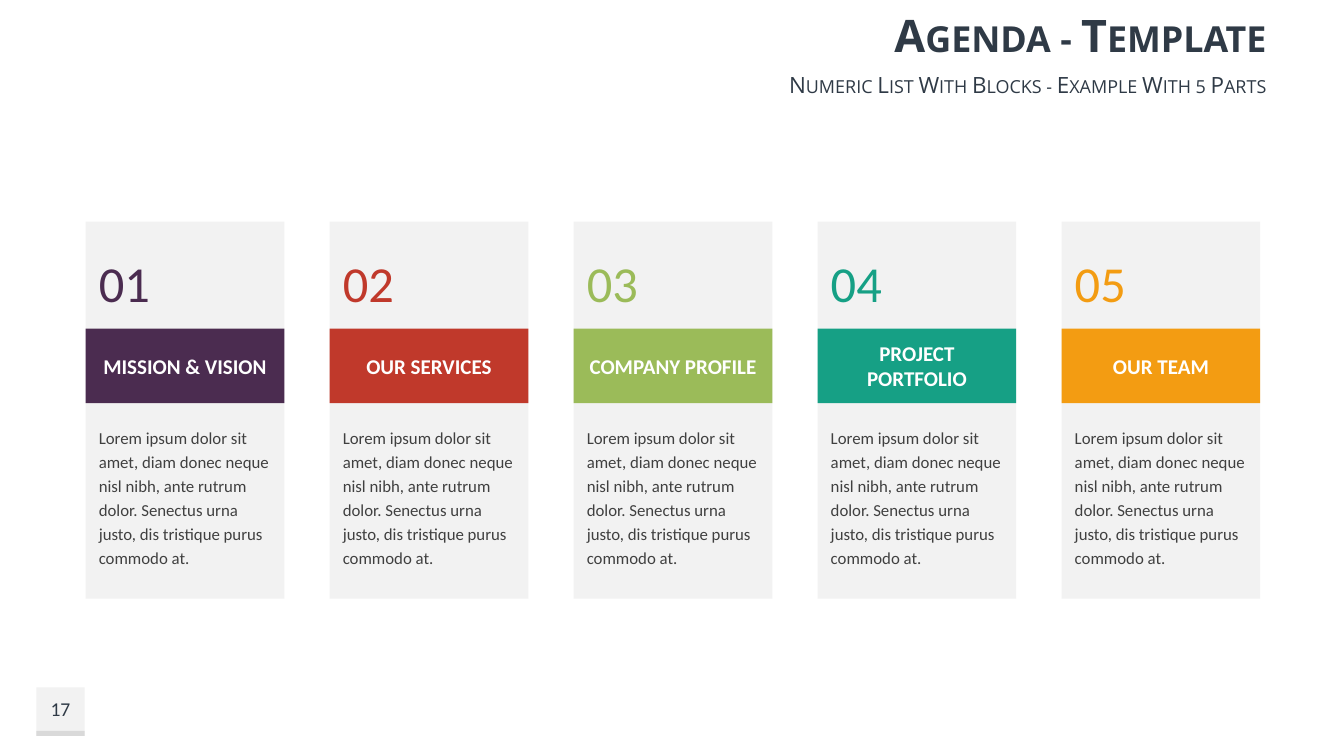
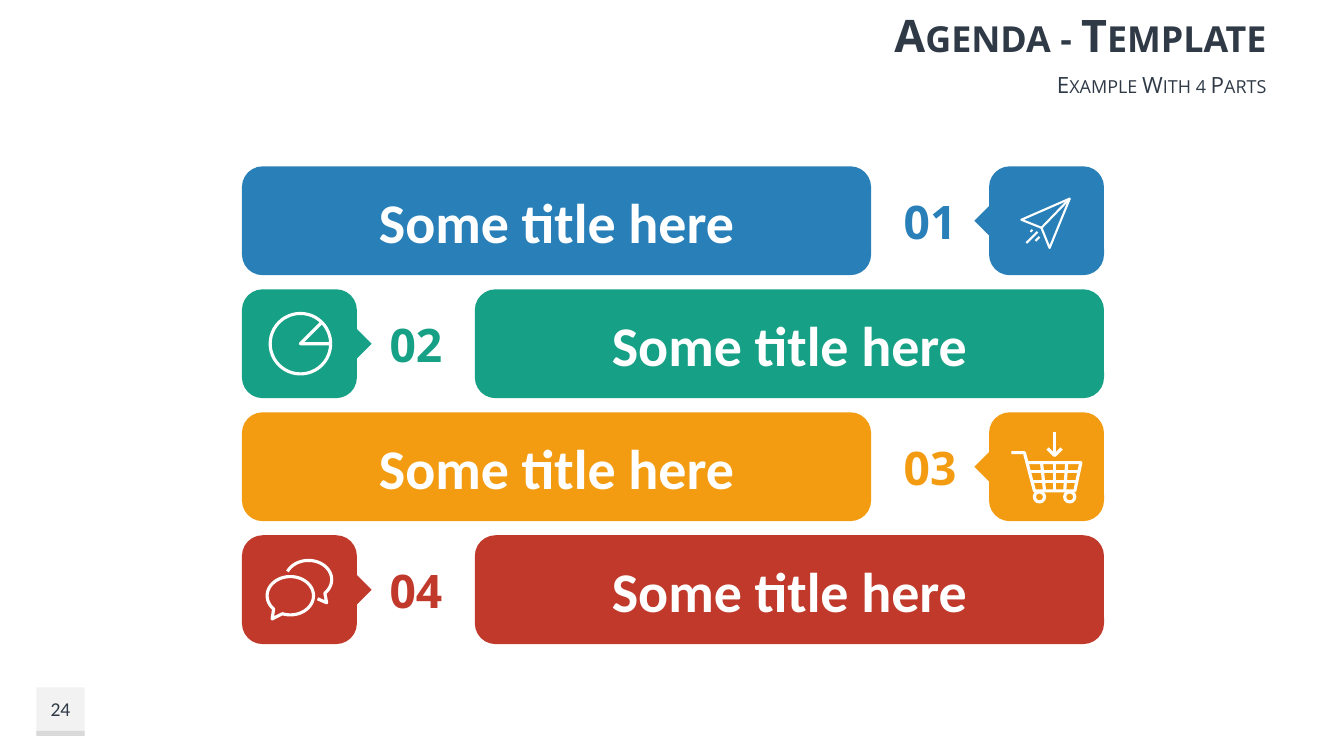
"""Build two agenda slides: five numbered blocks and four alternating rows."""
from math import cos, radians, sin

from lxml.etree import SubElement
from pptx import Presentation
from pptx.dml.color import RGBColor
from pptx.enum.shapes import MSO_CONNECTOR, MSO_SHAPE
from pptx.enum.text import MSO_ANCHOR as Anchor, PP_ALIGN as Align
from pptx.oxml.ns import qn
from pptx.util import Pt

PX = 9144
WIDTH, HEIGHT = 1333, 750
HEADING_FONT, BODY_FONT = "Open Sans", "Calibri"
COLORS = {
    "ink": "2F3A46", "body": "404040", "white": "FFFFFF", "panel": "F2F2F2", "rule": "D9D9D9",
    "purple": "4B2C50", "red": "C0392B", "lime": "9BBB59", "teal": "16A085",
    "orange": "F39C12", "blue": "2980B9",
}


def arc(center_x, center_y, radius_x, radius_y, start, end, step=6):
    """Return points along an elliptical arc, with angles in degrees."""
    angles = [*range(start, end, step), end]
    return [(center_x + radius_x * cos(radians(a)), center_y + radius_y * sin(radians(a)))
            for a in angles]


TITLE = "Agenda - Template"
LOREM = ("Lorem ipsum dolor sit amet, diam donec neque nisl nibh, ante rutrum dolor. "
         "Senectus urna justo, dis tristique purus commodo at.")
BLOCKS = [
    ("MISSION & VISION", "purple"),
    ("OUR SERVICES", "red"),
    ("COMPANY PROFILE", "lime"),
    ("PROJECT\nPORTFOLIO", "teal"),
    ("OUR TEAM", "orange"),
]
ROWS = [
    ("Some title here", "blue", "plane"),
    ("Some title here", "teal", "pie"),
    ("Some title here", "orange", "cart"),
    ("Some title here", "red", "chat"),
]
front_bubble = arc(48, 60, 23, 19, 136, 470) + [(30, 83)]
ICONS = {
    "plane": {
        "weight": 1.5,
        "circles": [],
        "strokes": [
            [(32, 53), (80, 32), (60, 81), (52, 61), (32, 53)],
            [(52, 61), (80, 32)], [(37, 76), (48, 65)], [(46, 74), (50, 70)], [(41, 65), (43, 63)],
        ],
    },
    "pie": {
        "weight": 2.25,
        "circles": [(58, 54, 30)],
        "strokes": [[(88, 54), (58, 54), (79, 33)]],
    },
    "cart": {
        "weight": 2.25,
        "circles": [(50, 84, 5), (80, 84, 5)],
        "strokes": [
            [(22, 40), (35, 40), (45, 78), (85, 78), (91, 50), (37, 50)],
            [(40, 59), (89, 59)], [(42, 69), (87, 69)],
            [(52, 50), (55, 78)], [(65, 50), (65, 78)], [(77, 50), (75, 78)],
            [(65, 20), (65, 43)], [(58, 36), (65, 43), (72, 36)],
        ],
    },
    "chat": {
        "weight": 2.25,
        "circles": [],
        "strokes": [
            front_bubble + front_bubble[:1],
            arc(66, 44, 23, 19, 205, 405) + [(84, 67), (75, 63)],
        ],
    },
}


def px(*lengths):
    return [round(length * PX) for length in lengths]


def rgb(name):
    return RGBColor.from_string(COLORS[name])


def write(shape, text, size, color, font=BODY_FONT, bold=False, align=Align.CENTER,
          anchor=Anchor.MIDDLE, insets=(10, 5), spacing=None, small_caps=False):
    frame = shape.text_frame
    frame.word_wrap = True
    frame.vertical_anchor = anchor
    frame.margin_left = frame.margin_right = insets[0] * PX
    frame.margin_top = frame.margin_bottom = insets[1] * PX
    frame.text = text
    for paragraph in frame.paragraphs:
        paragraph.alignment = align
        if spacing:
            paragraph.line_spacing = spacing
        paragraph.font.name = font
        paragraph.font.size = Pt(size)
        paragraph.font.bold = bold
        paragraph.font.color.rgb = rgb(color)
        if small_caps:
            paragraph._p.pPr.find(qn("a:defRPr")).set("cap", "small")


def add_text(slide, box, text, size, color, **style):
    write(slide.shapes.add_textbox(*px(*box)), text, size, color, **style)


def add_block(slide, box, color, kind=MSO_SHAPE.RECTANGLE):
    shape = slide.shapes.add_shape(kind, *px(*box))
    shape.shadow.inherit = False
    shape.fill.solid()
    shape.fill.fore_color.rgb = rgb(color)
    shape.line.fill.background()
    return shape


def add_rounded(slide, box, color):
    shape = add_block(slide, box, color, MSO_SHAPE.ROUNDED_RECTANGLE)
    shape.adjustments[0] = 0.19
    return shape


def set_outline(shape, weight):
    shape.line.color.rgb = rgb("white")
    shape.line.width = Pt(weight)


def add_stroke(slide, points, weight):
    if len(points) == 2:
        connector = slide.shapes.add_connector(MSO_CONNECTOR.STRAIGHT, *px(*points[0], *points[1]))
        set_outline(connector, weight)
        SubElement(connector._element.spPr, qn("a:effectLst"))
        return
    closed = points[0] == points[-1]
    builder = slide.shapes.build_freeform(*px(*points[0]))
    builder.add_line_segments([px(*point) for point in points[1:]], close=closed)
    outline = builder.convert_to_shape()
    outline.shadow.inherit = False
    outline.fill.background()
    set_outline(outline, weight)


def add_icon(slide, icon, left, top):
    weight = icon["weight"]
    for x, y, radius in icon["circles"]:
        box = (left + x - radius, top + y - radius, 2 * radius, 2 * radius)
        circle = add_block(slide, box, "white", MSO_SHAPE.OVAL)
        circle.fill.background()
        set_outline(circle, weight)
    for stroke in icon["strokes"]:
        add_stroke(slide, [(left + x, top + y) for x, y in stroke], weight)


def add_framed_slide(presentation, subtitle, number):
    slide = presentation.slides.add_slide(presentation.slide_layouts[6])
    add_block(slide, (36, 682, 48, 48), "panel")
    add_block(slide, (36, 725, 48, 5), "rule")
    add_text(slide, (36, 682, 48, 43), number, 14, "ink")
    heading = {"font": HEADING_FONT, "align": Align.RIGHT, "small_caps": True}
    add_text(slide, (425, 0, 841, 68), TITLE, 32, "ink", bold=True, **heading)
    add_text(slide, (425, 68, 841, 31), subtitle, 16, "ink", **heading)
    return slide


def build_blocks(presentation):
    slide = add_framed_slide(presentation, "Numeric List With Blocks - Example With 5 Parts", "17")
    first_left, step, width = 85, 242, 197
    column_text = {"align": Align.LEFT, "anchor": Anchor.TOP, "insets": (13, 7)}
    for index, (label, color) in enumerate(BLOCKS):
        left = first_left + index * step
        add_block(slide, (left, 220, width, 374), "panel")
        band = add_block(slide, (left, 326, width, 74), color)
        write(band, label, 15, "white", bold=True, insets=(0, 7))
        add_text(slide, (left, 243, width, 74), f"{index + 1:02}", 36, color, **column_text)
        add_text(slide, (left, 413, width, 134), LOREM, 12, "body", spacing=1.2, **column_text)


def build_rows(presentation):
    slide = add_framed_slide(presentation, "Example With 4 Parts", "24")
    left, right, first_top, step, height = 240, 1095, 165, 122, 108
    tile_width, number_width, pointer_size = 114, 117, 32
    number_left = left + tile_width
    bar_left = number_left + number_width
    pointer_left = number_left - 24
    for index, (label, color, icon) in enumerate(ROWS):
        top = first_top + index * step

        def place(x, width):
            return x if index % 2 else left + right - x - width

        bar_width = right - bar_left
        bar = add_rounded(slide, (place(bar_left, bar_width), top, bar_width, height), color)
        write(bar, label, 40, "white", bold=True, insets=(5, 2))
        add_text(slide, (place(number_left, number_width), top, number_width, height),
                 f"{index + 1:02}", 33, color, font=HEADING_FONT, bold=True)
        tile_left = place(left, tile_width)
        add_rounded(slide, (tile_left, top, tile_width, height), color)
        pointer = add_block(slide, (place(pointer_left, pointer_size),
                                    top + (height - pointer_size) / 2,
                                    pointer_size, pointer_size), color)
        pointer.rotation = 45
        add_icon(slide, ICONS[icon], tile_left, top)


def main():
    presentation = Presentation()
    presentation.slide_width, presentation.slide_height = px(WIDTH, HEIGHT)
    build_blocks(presentation)
    build_rows(presentation)
    presentation.save("out.pptx")


if __name__ == "__main__":
    main()
